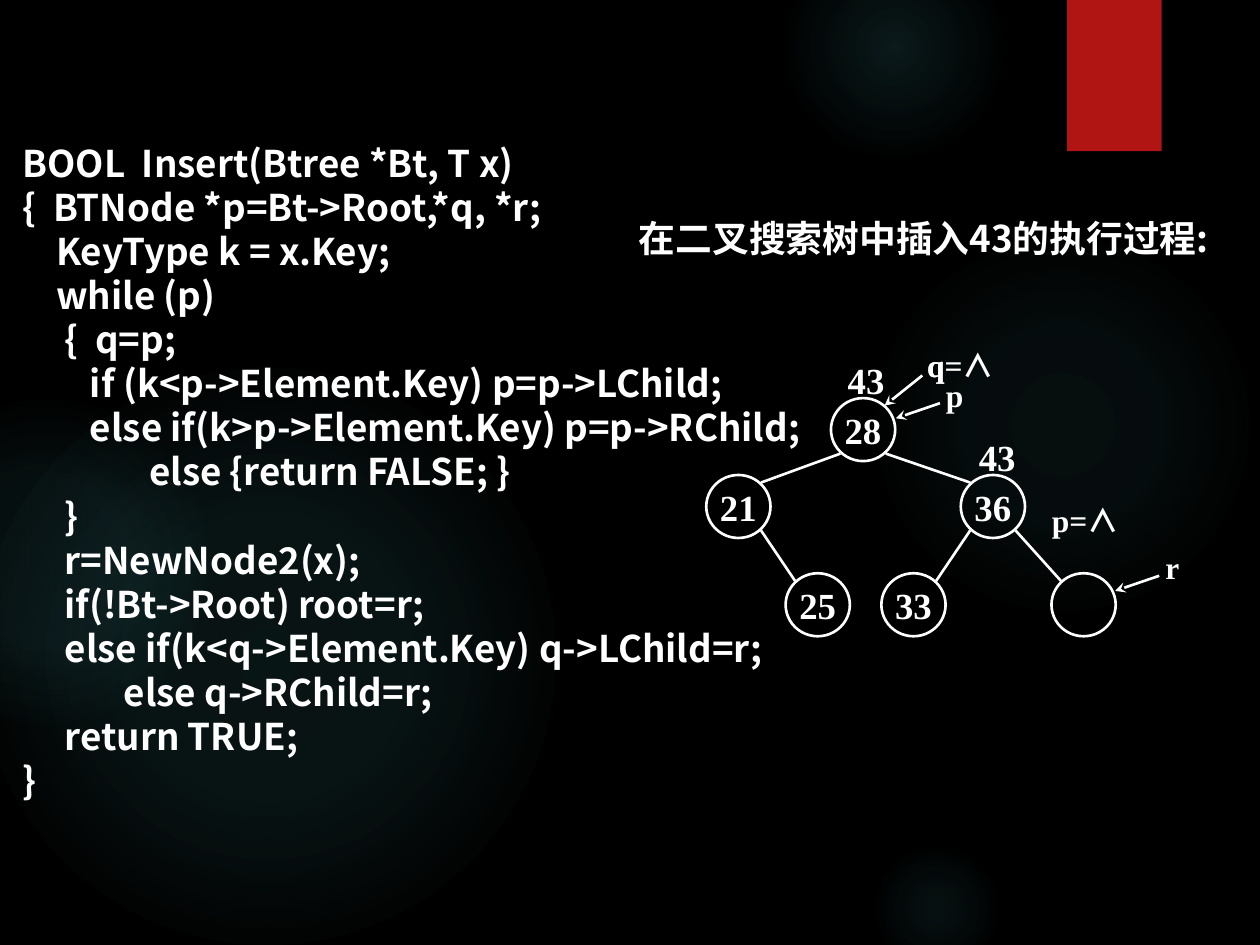
from lxml import etree
from pptx import Presentation
from pptx import util as u
from pptx.dml.color import RGBColor
from pptx.enum import shapes, text
from pptx.oxml import ns

COLS, ROWS = 100, 75
CELL = u.Inches(0.1)
WHITE, BLACK, RED, TEAL = "FFFFFF", "000000", "B01513", "50B9C1"
SANS, SERIF = "Noto Sans CJK SC", "Times New Roman"
NODE_W, NODE_H = 5.1, 5
EDGE_DX, EDGE_DY = 1.8, 1.9
SPACE = 0.67

GLOWS = [
    (68.9, 18.3, 30.8, (7, 6), 69),
    (62.2, -5, 17.5, (14, 7), 73),
    (68.9, 66.7, 10.8, (9, 5), 66),
    (-1.7, 29.2, 45.8, (11, 10), 75),
    (-9.2, 31.7, 25.8, (8, 8), 72),
]
NODES = {
    "28": (68.5, 34.1),
    "21": (58.6, 40.2),
    "36": (78.8, 40.2),
    "25": (64.9, 48),
    "33": (72.5, 48),
    "": (86, 48),
}
EDGES = [("28", "21"), ("28", "36"), ("21", "25"), ("36", "33"), ("36", "")]
POINTERS = [
    ("q", 72.6, 28, 3, (0.6, 1.8), (-3, 2.4)),
    ("p", 74.1, 30.4, 3.4, (0.5, 1.6), (-3.5, 1.2)),
    ("r", 91.5, 44.1, 3.1, (0.5, 1.6), (-3.5, 1.2)),
]
CODE = [
    (0, "BOOL  Insert(Btree *Bt, T x)"),
    (0, "{  BTNode *p=Bt->Root,*q, *r;"),
    (4, "KeyType k = x.Key;"),
    (4, "while (p)"),
    (5, "{  q=p;"),
    (8, "if (k<p->Element.Key) p=p->LChild;"),
    (8, "else if(k>p->Element.Key) p=p->RChild;"),
    (15, "else {return FALSE; }"),
    (5, "}"),
    (5, "r=NewNode2(x);"),
    (5, "if(!Bt->Root) root=r;"),
    (5, "else if(k<q->Element.Key) q->LChild=r;"),
    (12, "else q->RChild=r;"),
    (5, "return TRUE;"),
    (0, "}"),
]


def grid(*cells):
    return [int(c * CELL) for c in cells]


def color(value):
    return RGBColor.from_string(value)


def add_xml(parent, tag, **attrs):
    return etree.SubElement(parent, ns.qn(tag), attrs)


def style(p, size, name, align=text.PP_ALIGN.LEFT):
    p.alignment = align
    p.font.size = u.Pt(size)
    p.font.bold = True
    p.font.name = name
    p.font.color.rgb = color(WHITE)
    add_xml(p.font._element, "a:ea", typeface=SANS)


def add_text(s, box, value, size=21, name=SERIF, wrap=False):
    tf = s.shapes.add_textbox(*grid(*box)).text_frame
    tf.word_wrap = wrap
    p = tf.paragraphs[0]
    p.text = value
    style(p, size, name)
    return p


def add_label(s, left, top, width, value, symbol="", wrap=False):
    p = add_text(s, (left, top, width, 2.8), value, 18, wrap=wrap)
    p.line_spacing = 0.6
    if symbol:
        r = p.add_run()
        r.text = symbol
        r.font.name = SANS


def add_line(s, start, end, arrow=False):
    line = s.shapes.add_connector(shapes.MSO_CONNECTOR.STRAIGHT, *grid(*start, *end))
    line.line.color.rgb = color(WHITE)
    line.line.width = u.Pt(1.5)
    if arrow:
        add_xml(line.line._get_or_add_ln(), "a:tailEnd", type="stealth")
    add_xml(line._element.spPr, "a:effectLst")


def add_shape(s, kind, box):
    sp = s.shapes.add_shape(kind, *grid(*box))
    sp.shadow.inherit = False
    sp.line.fill.background()
    return sp


def add_glow(s, left, top, size, alphas, edge):
    sp = add_shape(s, shapes.MSO_SHAPE.OVAL, (left, top, size, size))
    sp.fill.background()
    spPr = sp._element.spPr
    fill = etree.Element(ns.qn("a:gradFill"), rotWithShape="1")
    spPr.replace(spPr.find(ns.qn("a:noFill")), fill)
    stops = add_xml(fill, "a:gsLst")
    for pos, alpha in zip((0, 36, edge), (*alphas, 0)):
        stop = add_xml(stops, "a:gs", pos=str(pos * 1000))
        shade = add_xml(stop, "a:srgbClr", val=TEAL)
        add_xml(shade, "a:alpha", val=str(alpha * 1000))
    circle = add_xml(fill, "a:path", path="circle")
    add_xml(circle, "a:fillToRect", l="50000", t="50000", r="50000", b="50000")


def add_node(s, key, x, y):
    box = (x - NODE_W / 2, y - NODE_H / 2, NODE_W, NODE_H)
    sp = add_shape(s, shapes.MSO_SHAPE.OVAL, box)
    sp.fill.background()
    sp.line.color.rgb = color(WHITE)
    sp.line.width = u.Pt(1.5)
    if key:
        tf = sp.text_frame
        tf.word_wrap = False
        tf.margin_left = tf.margin_right = u.Inches(0.07)
        tf.margin_top = tf.margin_bottom = u.Inches(0.04)
        tf.vertical_anchor = text.MSO_ANCHOR.MIDDLE
        p = tf.paragraphs[0]
        p.text = key
        style(p, 21, SERIF, text.PP_ALIGN.CENTER)


def add_edge(s, parent, child):
    (x1, y1), (x2, y2) = NODES[parent], NODES[child]
    dx = EDGE_DX if x2 > x1 else -EDGE_DX
    add_line(s, (x1 + dx, y1 + EDGE_DY), (x2 - dx, y2 - EDGE_DY))


def add_pointer(s, name, left, top, width, offset, reach):
    add_label(s, left, top, width, name)
    x, y = left + offset[0], top + offset[1]
    add_line(s, (x, y), (x + reach[0], y + reach[1]), arrow=True)


def set_title(s, value):
    title = s.shapes.title
    title.left, title.top, title.width, title.height = grid(49.7, 16.6, 47.9, 4.5)
    tf = title.text_frame
    tf.text = value
    tf.word_wrap = True
    tf.auto_size = text.MSO_AUTO_SIZE.NONE
    tf.margin_right = 0
    tf.vertical_anchor = text.MSO_ANCHOR.MIDDLE
    style(tf.paragraphs[0], 21, SANS)


def add_code(s):
    tf = s.shapes.add_textbox(*grid(0.8, 10.4, 68.5, 54)).text_frame
    tf.word_wrap = True
    tf.vertical_anchor = text.MSO_ANCHOR.MIDDLE
    for i, (indent, line) in enumerate(CODE):
        p = tf.add_paragraph() if i else tf.paragraphs[0]
        p.text = line
        style(p, 21, SANS)
        p.line_spacing = u.Pt(25.2)
        pPr = p._p.get_or_add_pPr()
        pPr.set("marL", str(int(indent * SPACE * CELL)))
        pPr.set("indent", "0")


def main():
    prs = Presentation()
    prs.slide_width, prs.slide_height = grid(COLS, ROWS)
    s = prs.slides.add_slide(prs.slide_layouts[5])
    s.background.fill.solid()
    s.background.fill.fore_color.rgb = color(BLACK)
    set_title(s, "在二叉搜索树中插入43的执行过程:")
    for glow in GLOWS:
        add_glow(s, *glow)
    ribbon = add_shape(s, shapes.MSO_SHAPE.RECTANGLE, (84.7, 0, 7.5, 12))
    ribbon.fill.solid()
    ribbon.fill.fore_color.rgb = color(RED)
    for key, (x, y) in NODES.items():
        add_node(s, key, x, y)
    for edge in EDGES:
        add_edge(s, *edge)
    for left, top in [(66.3, 27.9), (76.7, 34)]:
        add_text(s, (left, top, 5, 4.5), "43")
    add_label(s, 72.6, 28, 7.7, "q=", "∧", wrap=True)
    add_label(s, 82.5, 40.3, 7.7, "p=", "∧", wrap=True)
    for pointer in POINTERS:
        add_pointer(s, *pointer)
    add_code(s)
    prs.save("out.pptx")


if __name__ == "__main__":
    main()
